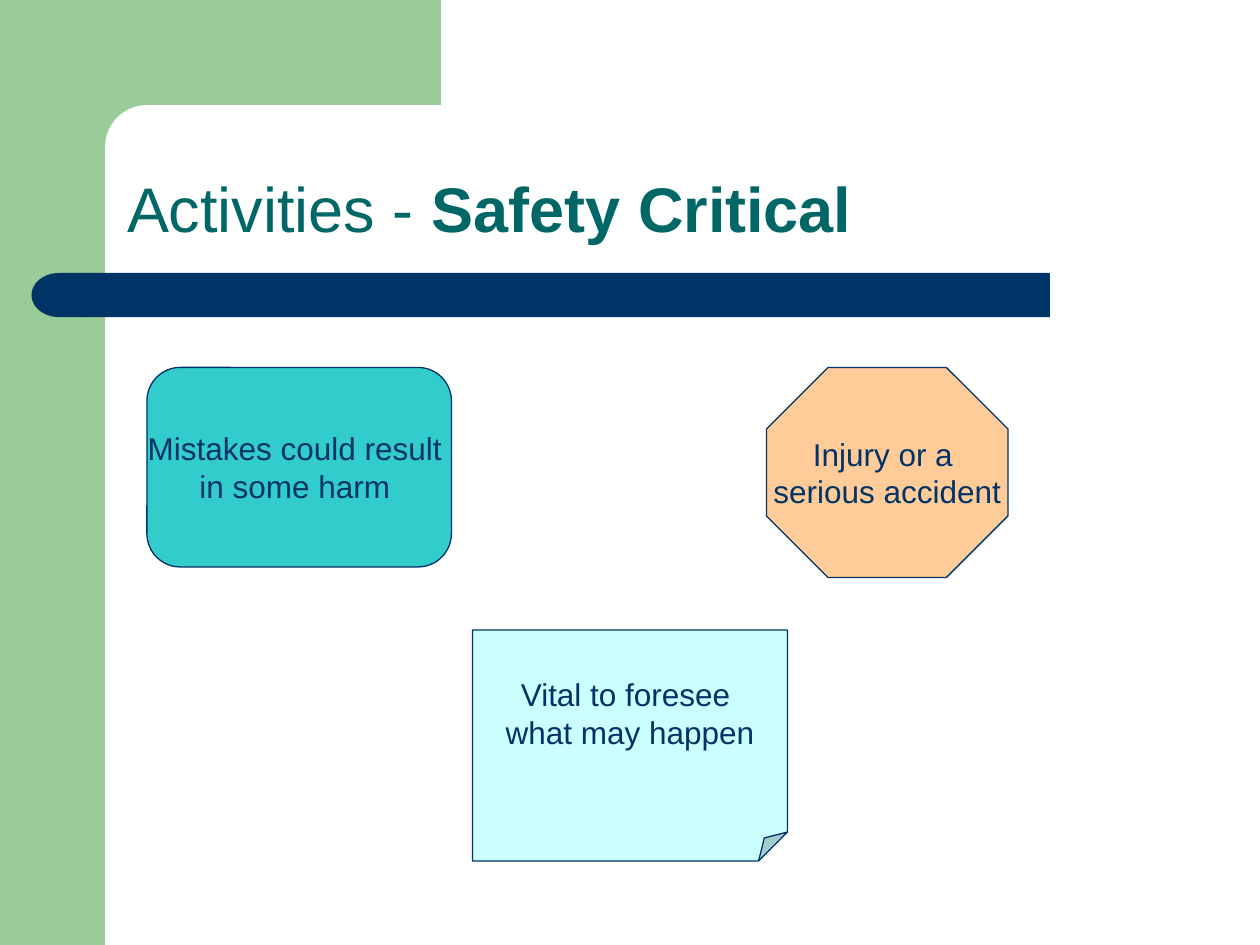
from math import cos, pi, sin

from pptx import Presentation
from pptx.dml.color import RGBColor
from pptx.enum.shapes import MSO_SHAPE
from pptx.enum.text import MSO_ANCHOR, MSO_AUTO_SIZE, PP_ALIGN
from pptx.oxml.ns import qn
from pptx.util import Inches, Pt
from lxml.etree import SubElement

CELL = Inches(1) // 12  # the slide is a grid of 120 by 90 cells
NAVY, TEAL, GREEN = "003366", "006666", "99CC99"


def paint(shape, fill, line=None):
    shape.shadow.inherit = False
    shape.fill.solid()
    shape.fill.fore_color.rgb = RGBColor.from_string(fill)
    if line:
        shape.line.color.rgb = RGBColor.from_string(line)
        shape.line.width = Pt(0.75)
    else:
        shape.line.fill.background()


def write(paragraph, text, size, color, bold=False, align=PP_ALIGN.LEFT):
    paragraph.alignment = align
    run = paragraph.add_run()
    run.text = text
    run.font.name = "Arial"
    run.font.size = Pt(size)
    run.font.bold = bold
    run.font.color.rgb = RGBColor.from_string(color)


presentation = Presentation()
presentation.slide_width = 120 * CELL
presentation.slide_height = 90 * CELL
slide = presentation.slides.add_slide(presentation.slide_layouts[5])

# Green side band, and a top band joined to it by a rounded inner corner
side_band = slide.shapes.add_shape(MSO_SHAPE.RECTANGLE, 0, 0, 10 * CELL, 90 * CELL)
paint(side_band, GREEN)

radius, steps = 4, 16
angles = [step * pi / 2 / steps for step in range(steps + 1)]
curve = [(10 + radius * (1 - sin(angle)), 10 + radius * (1 - cos(angle)))
         for angle in reversed(angles)]
curve.reverse()  # from the top band down to the side band
outline = [(42, 0), (42, 10), *curve, (10, 15.4), (6, 15.4), (6, 0)]
points = [(round(x * CELL), round(y * CELL)) for x, y in outline]
builder = slide.shapes.build_freeform(*points[0])
builder.add_line_segments(points[1:], close=True)
paint(builder.convert_to_shape(), GREEN)

# Navy bar under the title, with a round left end
bar_top, bar_height = 26 * CELL, round(4.2 * CELL)
bar = slide.shapes.add_shape(MSO_SHAPE.RECTANGLE, 8 * CELL, bar_top, 92 * CELL, bar_height)
paint(bar, NAVY)
bar_end = slide.shapes.add_shape(
    MSO_SHAPE.FLOWCHART_DELAY, 3 * CELL, bar_top, round(5.2 * CELL), bar_height)
bar_end.rotation = 180
paint(bar_end, NAVY)

# Title
title = slide.shapes.title
title.left = title.top = round(10.9 * CELL)
title.width, title.height = 102 * CELL, round(13.1 * CELL)
title_frame = title.text_frame
title_frame.auto_size = MSO_AUTO_SIZE.NONE
title_frame.vertical_anchor = MSO_ANCHOR.BOTTOM
heading = title_frame.paragraphs[0]
heading.line_spacing = 0.9
write(heading, "Activities - ", 36, TEAL)
write(heading, "Safety Critical", 36, TEAL, bold=True)

# Cards: preset, adjustment, left, top, width, height in cells, fill, bottom inset, lines
cards = [
    (MSO_SHAPE.ROUNDED_RECTANGLE, 0.167, 14, 35, 29, 19, "33CCCC", 0.05,
     ["Mistakes could result ", "in some harm "]),
    (MSO_SHAPE.OCTAGON, 0.293, 73, 35, 23, 20, "FFCC99", 0.05,
     ["Injury or a ", "serious accident"]),
    (MSO_SHAPE.FOLDED_CORNER, 0.125, 45, 60, 30, 22, "CCFFFF", 0.34,
     ["Vital to foresee ", "what may happen"]),
]
for preset, adjustment, left, top, width, height, fill, bottom_inset, lines in cards:
    card = slide.shapes.add_shape(preset, left * CELL, top * CELL, width * CELL, height * CELL)
    # python-pptx lists no adjustment for a folded corner, so the guide is set in XML
    guides = card.element.find(".//" + qn("a:avLst"))
    for guide in list(guides):
        guides.remove(guide)
    SubElement(guides, qn("a:gd"), name="adj", fmla=f"val {round(adjustment * 100000)}")
    paint(card, fill, NAVY)
    frame = card.text_frame
    frame.word_wrap = False
    frame.vertical_anchor = MSO_ANCHOR.MIDDLE
    frame.margin_bottom = Inches(bottom_inset)
    for index, line in enumerate(lines):
        paragraph = frame.add_paragraph() if index else frame.paragraphs[0]
        write(paragraph, line, 18, NAVY, align=PP_ALIGN.CENTER)

presentation.save("out.pptx")
